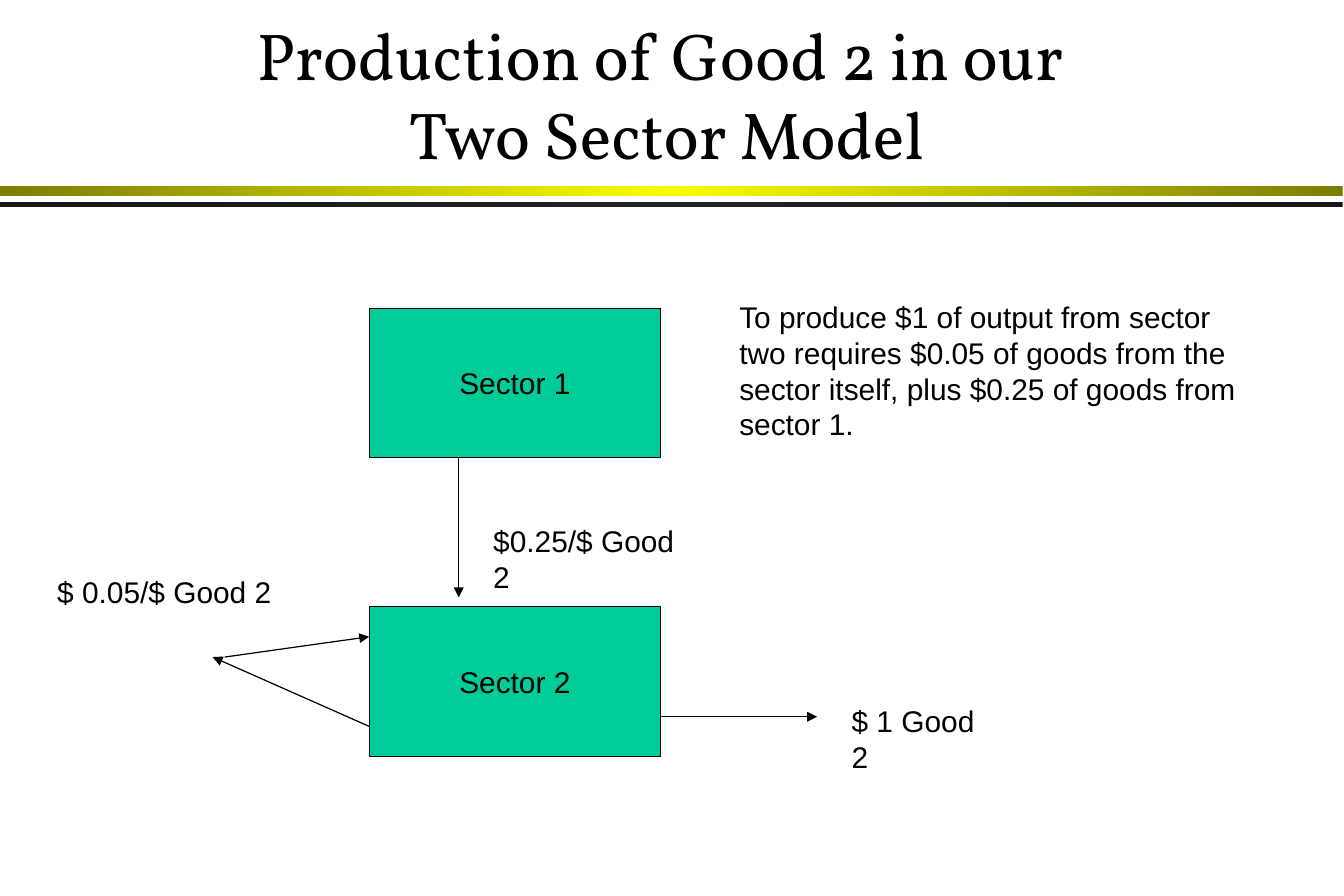
from copy import deepcopy

from lxml.etree import SubElement
from pptx import Presentation
from pptx.dml.color import RGBColor
from pptx.enum.shapes import MSO_CONNECTOR, MSO_SHAPE
from pptx.enum.text import MSO_ANCHOR, MSO_AUTO_SIZE, PP_ALIGN
from pptx.oxml.ns import qn
from pptx.util import Inches, Pt

BLACK = RGBColor(0x00, 0x00, 0x00)
GREEN = RGBColor(0x00, 0xCC, 0x99)
OLIVE = RGBColor(0x7C, 0x7D, 0x00)
YELLOW = RGBColor(0xFA, 0xFD, 0x00)
DARK = RGBColor(0x18, 0x18, 0x18)
GREY = RGBColor(0x23, 0x23, 0x23)

BOX_LEFT, BOX_WIDTH, BOX_HEIGHT = 3.09, 2.44, 1.25
BOX_RIGHT = BOX_LEFT + BOX_WIDTH


def style(frame, font="Arial", size=18, align=PP_ALIGN.LEFT):
    """Format every run in a text frame."""
    for para in frame.paragraphs:
        para.alignment = align
        for run in para.runs:
            run.font.name = font
            run.font.size = Pt(size)
            run.font.color.rgb = BLACK


def add_title(slide, text):
    """Fill and place the title."""
    title = slide.shapes.title
    title.left, title.top = Inches(1.29), Inches(0.25)
    title.width, title.height = Inches(8.58), Inches(1.25)
    frame = title.text_frame
    frame.text = text
    frame.auto_size = MSO_AUTO_SIZE.NONE
    frame.vertical_anchor = MSO_ANCHOR.BOTTOM
    style(frame, "Vollkorn", 40, PP_ALIGN.CENTER)


def add_rect(slide, left, top, width, height):
    """Add a rectangle without a shadow."""
    rect = slide.shapes.add_shape(
        MSO_SHAPE.RECTANGLE, Inches(left), Inches(top), Inches(width), Inches(height))
    rect.shadow.inherit = False
    return rect


def add_bar(slide, top, height, edge, middle):
    """Add a full-width bar that fades from the middle to both ends."""
    bar = add_rect(slide, 0, top, 11.24, height)
    bar.line.fill.background()
    bar.fill.gradient()
    bar.fill.gradient_angle = 0
    stops = bar._element.spPr.find(".//" + qn("a:gsLst"))
    stops.insert(1, deepcopy(stops[0]))
    for stop, place, color in zip(bar.fill.gradient_stops, (0, 0.5, 1), (edge, middle, edge)):
        stop.position = place
        stop.color.rgb = color


def add_box(slide, top, text):
    """Add a sector box."""
    box = add_rect(slide, BOX_LEFT, top, BOX_WIDTH, BOX_HEIGHT)
    box.fill.solid()
    box.fill.fore_color.rgb = GREEN
    box.line.color.rgb = BLACK
    box.line.width = Pt(0.75)
    frame = box.text_frame
    frame.text = text
    frame.word_wrap = False
    frame.vertical_anchor = MSO_ANCHOR.MIDDLE
    style(frame, align=PP_ALIGN.CENTER)


def add_label(slide, left, top, width, height, text, wrap=False):
    """Add a text box."""
    label = slide.shapes.add_textbox(Inches(left), Inches(top), Inches(width), Inches(height))
    frame = label.text_frame
    frame.text = text
    frame.word_wrap = wrap
    frame.auto_size = MSO_AUTO_SIZE.SHAPE_TO_FIT_TEXT
    style(frame)


def add_arrow(slide, *ends):
    """Add an arrow from the first point to the second."""
    arrow = slide.shapes.add_connector(MSO_CONNECTOR.STRAIGHT, *map(Inches, ends))
    arrow.line.color.rgb = BLACK
    arrow.line.width = Pt(0.75)
    SubElement(arrow.line._get_or_add_ln(), qn("a:tailEnd"), type="triangle")
    SubElement(arrow._element.spPr, qn("a:effectLst"))


def main():
    """Build the slide and save it."""
    deck = Presentation()
    deck.slide_width, deck.slide_height = Inches(11.25), Inches(7.5)
    slide = deck.slides.add_slide(deck.slide_layouts[5])
    add_bar(slide, 1.56, 0.08, OLIVE, YELLOW)
    add_bar(slide, 1.69, 0.04, DARK, GREY)
    add_title(slide, "Production of Good 2 in our \vTwo Sector Model")
    add_box(slide, 2.58, "Sector 1")
    add_box(slide, 5.08, "Sector 2")
    add_arrow(slide, BOX_RIGHT, 6, 6.84, 6)
    add_arrow(slide, BOX_LEFT, 6.08, 1.78, 5.5)
    add_arrow(slide, 1.88, 5.5, BOX_LEFT, 5.33)
    add_arrow(slide, 3.84, 3.83, 3.84, 5)
    add_label(slide, 7.03, 5.83, 1.43, 0.4, "$ 1 Good 2")
    add_label(slide, 4.03, 4.33, 1.92, 0.4, "$0.25/$ Good 2")
    add_label(slide, 0.38, 4.75, 1.99, 0.4, "$ 0.05/$ Good 2")
    add_label(slide, 6.09, 2.45, 4.44, 1.3,
              "To produce $1 of output from sector two requires $0.05 of goods "
              "from the sector itself, plus $0.25 of goods from sector 1.", wrap=True)
    deck.save("out.pptx")


if __name__ == "__main__":
    main()
